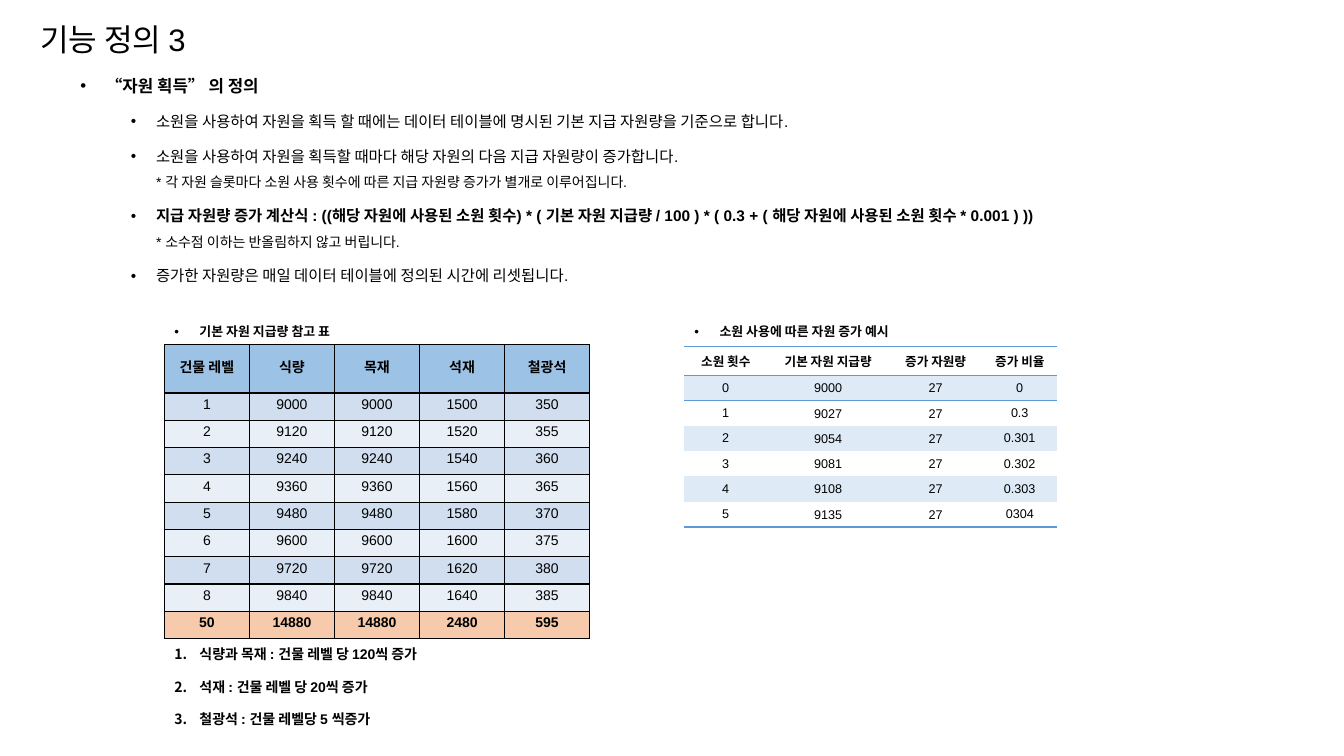
"""Build the slide that defines resource gains, with two reference tables."""
from dataclasses import dataclass

from lxml import etree
from pptx import Presentation
from pptx.dml.color import RGBColor
from pptx.enum.text import MSO_ANCHOR, PP_ALIGN
from pptx.oxml.ns import qn
from pptx.util import Pt

LEFT, CENTER = PP_ALIGN.LEFT, PP_ALIGN.CENTER
MIDDLE = MSO_ANCHOR.MIDDLE
PLAIN = "{2D5ABB26-0587-4C30-8999-92F81FD0307C}"


@dataclass(frozen=True)
class Theme:
    font: str = "Arial"
    ink: str = "000000"
    rule: str = "5B9BD5"
    head: str = "9CC2E5"
    dark: str = "D0DEEF"
    light: str = "E9EFF7"
    total: str = "F7CAAC"
    band: str = "DEEBF7"
    title: float = 22.2
    lead: float = 12
    body: float = 11
    note: float = 10
    label: float = 9.2
    small: float = 9


theme = Theme()


def write(para, text, size, bold=False, note="", mark="", scale=100,
          left=18, lead=1.0, before=0, align=LEFT):
    """Fill a paragraph with text, an optional note line and a list mark."""
    para.alignment = align
    para.line_spacing = lead
    if before:
        para.space_before = Pt(before)
    if mark:
        props = para._p.get_or_add_pPr()
        props.set("marL", str(Pt(left)))
        props.set("indent", str(Pt(-18)))
        tint = etree.SubElement(props, qn("a:buClr"))
        etree.SubElement(tint, qn("a:srgbClr"), val=theme.ink)
        etree.SubElement(props, qn("a:buSzPct"), val=str(scale * 1000))
        etree.SubElement(props, qn("a:buFont"), typeface=theme.font)
        if mark == "1.":
            etree.SubElement(props, qn("a:buAutoNum"), type="arabicPeriod")
        else:
            etree.SubElement(props, qn("a:buChar"), char=mark)
    parts = [(text, size, bold)]
    if note:
        parts.append((note, theme.note, False))
    for i, (words, points, heavy) in enumerate(parts):
        if i:
            para.add_line_break()
            etree.SubElement(para._p[-1], qn("a:rPr"), sz=str(int(size * 100)))
        run = para.add_run()
        run.text = words
        run.font.name = theme.font
        run.font.size = Pt(points)
        run.font.bold = heavy
        run.font.color.rgb = RGBColor.from_string(theme.ink)


def edge(cell, sides, color):
    """Draw one-point borders on the given sides of a cell."""
    for side in sides:
        line = etree.SubElement(cell._tc.get_or_add_tcPr(), qn(f"a:ln{side}"),
                                w=str(Pt(1)))
        fill = etree.SubElement(line, qn("a:solidFill"))
        etree.SubElement(fill, qn("a:srgbClr"), val=color)


deck = Presentation()
deck.slide_width, deck.slide_height = Pt(960), Pt(540)
slide = deck.slides.add_slide(deck.slide_layouts[6])

sub = dict(size=theme.body, mark="•", left=54, lead=1.5, before=5)
label = dict(size=theme.label, bold=True, mark="•", scale=103, lead=1.4)
rate = dict(size=theme.note, bold=True, mark="1.", lead=1.1)
boxes = [
    ((21.6, 0.7, 467.3, 46.1), [
        dict(text="기능 정의 3", size=theme.title, lead=1.4)]),
    ((50.4, 43.2, 751, 167), [
        dict(text="“자원 획득” 의 정의", size=theme.lead, bold=True,
             mark="•", lead=1.5),
        dict(sub, text="소원을 사용하여 자원을 획득 할 때에는 데이터 테이블에 "
                       "명시된 기본 지급 자원량을 기준으로 합니다."),
        dict(sub, text="소원을 사용하여 자원을 획득할 때마다 해당 자원의 다음 "
                       "지급 자원량이 증가합니다.",
             note="* 각 자원 슬롯마다 소원 사용 횟수에 따른 지급 자원량 증가가 "
                  "별개로 이루어집니다."),
        dict(sub, text="지급 자원량 증가 계산식 : ((해당 자원에 사용된 소원 횟수) * "
                       "( 기본 자원 지급량 / 100 ) * ( 0.3 + ( 해당 자원에 "
                       "사용된 소원 횟수 * 0.001 ) ))",
             bold=True, note="* 소수점 이하는 반올림하지 않고 버립니다."),
        dict(sub, text="증가한 자원량은 매일 데이터 테이블에 정의된 시간에 "
                       "리셋됩니다.")]),
    ((488.9, 223.2, 242.6, 23), [
        dict(label, text="소원 사용에 따른 자원 증가 예시")]),
    ((117.4, 223.2, 242.6, 23), [
        dict(label, text="기본 자원 지급량 참고 표")]),
    ((117.4, 456.5, 242.6, 72.7), [
        dict(rate, text="식량과 목재 : 건물 레벨 당 120씩 증가"),
        dict(rate, text="석재 : 건물 레벨 당 20씩 증가", before=10),
        dict(rate, text="철광석 : 건물 레벨당 5 씩증가", before=10)]),
]
for place, items in boxes:
    frame = slide.shapes.add_textbox(*map(Pt, place)).text_frame
    frame.word_wrap = True
    for i, item in enumerate(items):
        para = frame.add_paragraph() if i else frame.paragraphs[0]
        write(para, **item)

levels = [*range(1, 9), 50]
stock = [["건물 레벨", "식량", "목재", "석재", "철광석"]]
for level in levels:
    step = level - 1
    food = 9000 + 120 * step
    stock.append([level, food, food, 1500 + 20 * step, 350 + 5 * step])
rates = ["0", "0.3", "0.301", "0.302", "0.303", "0304"]
gains = [["소원 횟수", "기본 자원 지급량", "증가 자원량", "증가 비율"]]
gains += [[n, 9000 + 27 * n, 27, ratio] for n, ratio in enumerate(rates)]

tight, flat, wide = (0.7, 0.7, 0.7, 3.6), (0.7, 0.7, 0.7, 0), (7.2, 3.6, 7.2, 3.6)
tables = [
    dict(rows=gains, at=(488.9, 247.7), cols=[59, 87.2, 66.4, 53.9],
         head=20.4, high=17.3, size=theme.small, grid=False),
    dict(rows=stock, at=(117.4, 246.2), cols=[60.75] * 5,
         head=34.6, high=19.5, size=theme.note, grid=True),
]
for spot in tables:
    rows, cols, grid = spot["rows"], spot["cols"], spot["grid"]
    last = len(rows) - 1
    tall = spot["head"] + spot["high"] * last
    area = (*spot["at"], sum(cols), tall)
    table = slide.shapes.add_table(len(rows), len(cols), *map(Pt, area)).table
    table.first_row = table.horz_banding = False
    table._tbl.tblPr.find(qn("a:tableStyleId")).text = PLAIN
    for col, width in zip(table.columns, cols):
        col.width = Pt(width)
    for r, row in enumerate(rows):
        table.rows[r].height = Pt(spot["high"] if r else spot["head"])
        if grid:
            fill = theme.dark if r % 2 else theme.light
            fill = {0: theme.head, last: theme.total}.get(r, fill)
            sides, color = "LRTB", theme.ink
        else:
            fill = theme.band if r % 2 else None
            sides, color = {0: "TB", 1: "T", last: "B"}.get(r, ""), theme.rule
        for c, value in enumerate(row):
            cell = table.cell(r, c)
            inset = tight if grid else flat if r and c in (1, 2) else wide
            (cell.margin_left, cell.margin_top,
             cell.margin_right, cell.margin_bottom) = map(Pt, inset)
            cell.vertical_anchor = MIDDLE
            edge(cell, sides, color)
            if fill:
                cell.fill.solid()
                cell.fill.fore_color.rgb = RGBColor.from_string(fill)
            else:
                cell.fill.background()
            write(cell.text_frame.paragraphs[0], str(value), spot["size"],
                  bold=r == 0 or (grid and r == last), align=CENTER)

deck.save("out.pptx")
